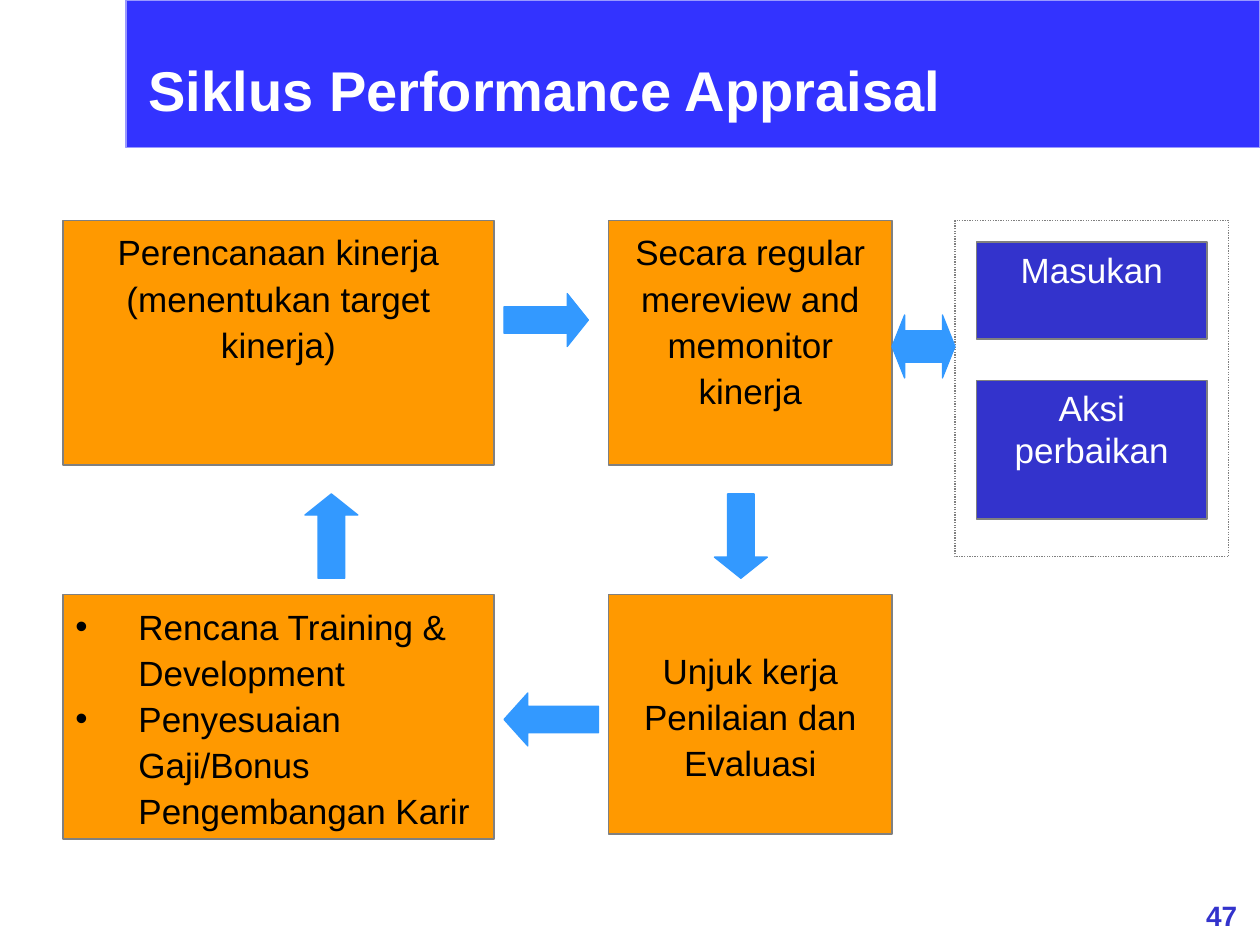
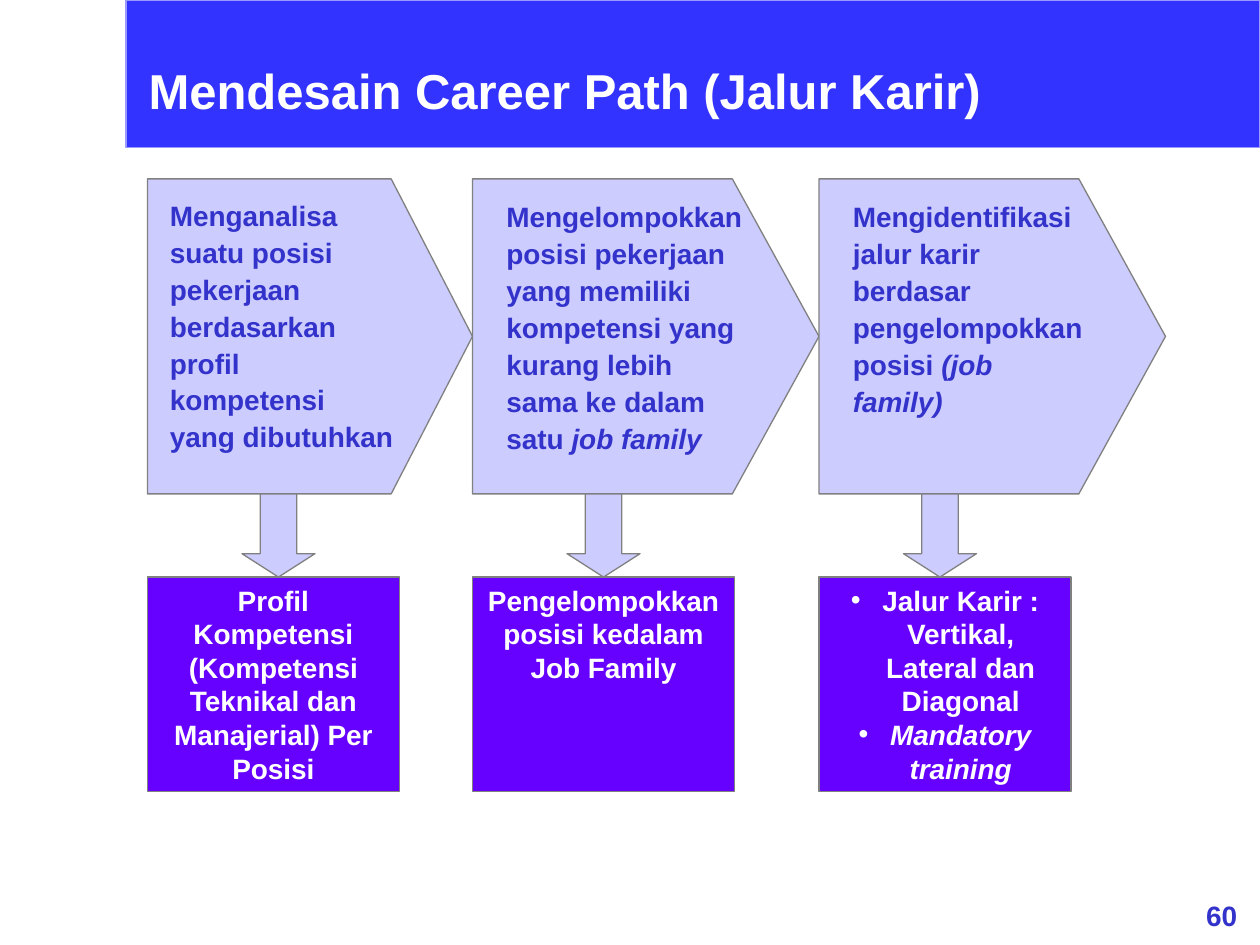
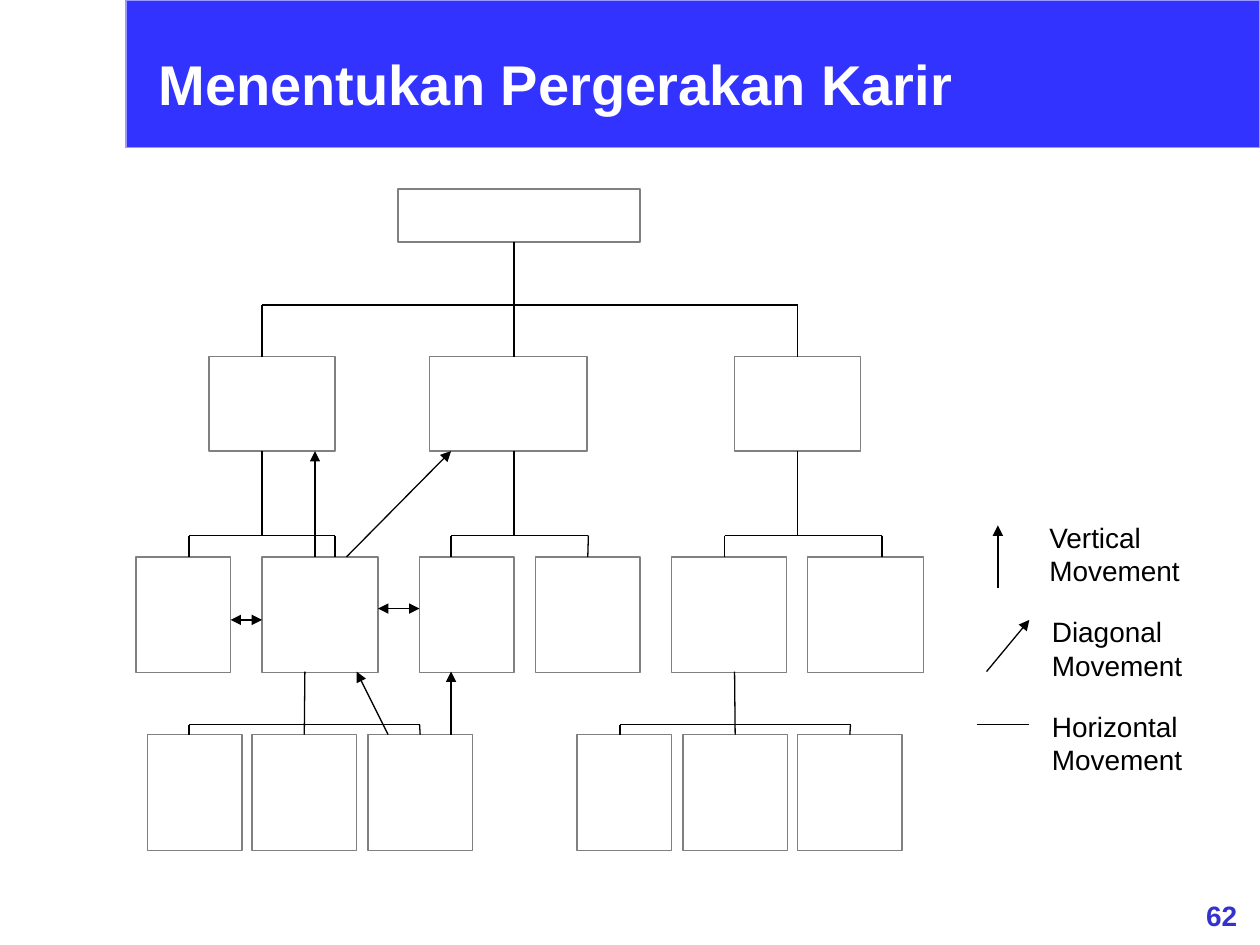
from lxml.etree import SubElement
from pptx import Presentation
from pptx.dml.color import RGBColor
from pptx.enum.dml import MSO_LINE
from pptx.enum.shapes import MSO_CONNECTOR, MSO_SHAPE
from pptx.enum.text import MSO_ANCHOR, MSO_AUTO_SIZE, PP_ALIGN
from pptx.oxml.ns import qn
from pptx.util import Inches, Pt

FONT = "Arial"
WHITE = "FFFFFF"
BLACK = "000000"
GRAY = "808080"
BAND_BLUE = "3333FF"
BAND_EDGE = "9999FF"
DEEP_BLUE = "3333CC"
ARROW_BLUE = "3399FF"
ORANGE = "FF9900"
LAVENDER = "CCCCFF"
VIOLET = "6600FF"
LINE_WIDTH = Pt(0.75)
CONNECT_TOLERANCE = 0.02


def color(hex_string):
    return RGBColor.from_string(hex_string)


def add_bullet(paragraph, indent, bullet_color):
    properties = paragraph._p.get_or_add_pPr()
    properties.set("marL", str(Inches(indent)))
    properties.set("indent", str(-Inches(indent)))
    bullet_fill = SubElement(properties, qn("a:buClr"))
    SubElement(bullet_fill, qn("a:srgbClr"), val=bullet_color)
    SubElement(properties, qn("a:buFont"), typeface=FONT)
    SubElement(properties, qn("a:buChar"), char="•")


def write_text(shape, *paragraphs, size=16, text_color=BLACK, bold=False, align=PP_ALIGN.LEFT,
               anchor=MSO_ANCHOR.TOP, spacing=None, bullet_indent=None):
    """Each paragraph is a string, or a pair of upright and italic text."""
    frame = shape.text_frame
    frame.word_wrap = True
    frame.auto_size = MSO_AUTO_SIZE.NONE
    frame.vertical_anchor = anchor
    for index, content in enumerate(paragraphs):
        paragraph = frame.add_paragraph() if index else frame.paragraphs[0]
        paragraph.alignment = align
        if spacing:
            paragraph.line_spacing = spacing
        if bullet_indent:
            add_bullet(paragraph, bullet_indent, text_color)
        parts = (content, "") if isinstance(content, str) else content
        for text, italic in zip(parts, (False, True)):
            if not text:
                continue
            run = paragraph.add_run()
            run.text = text
            run.font.name = FONT
            run.font.size = Pt(size)
            run.font.bold = bold
            run.font.italic = italic
            run.font.color.rgb = color(text_color)


def style_shape(shape, fill, line):
    shape.shadow.inherit = False
    if fill:
        shape.fill.solid()
        shape.fill.fore_color.rgb = color(fill)
    else:
        shape.fill.background()
    shape.line.color.rgb = color(line)
    shape.line.width = LINE_WIDTH


def add_box(slide, left, top, width, height, fill=WHITE, line=GRAY):
    box = slide.shapes.add_shape(MSO_SHAPE.RECTANGLE, Inches(left), Inches(top),
                                 Inches(width), Inches(height))
    style_shape(box, fill, line)
    return box


def add_arrow(slide, kind, left, top, width, height, head=0.4, fill=ARROW_BLUE, line=ARROW_BLUE):
    arrow = slide.shapes.add_shape(kind, Inches(left), Inches(top), Inches(width), Inches(height))
    arrow.adjustments[0] = 0.5
    arrow.adjustments[1] = head
    style_shape(arrow, fill, line)


def add_label(slide, left, top, width, height, *paragraphs, **text_format):
    label = slide.shapes.add_textbox(Inches(left), Inches(top), Inches(width), Inches(height))
    write_text(label, *paragraphs, **text_format)


def add_pentagon(slide, left, top, width, height):
    shoulder = left + 0.75 * width
    bottom = top + height
    corners = [(shoulder, top), (left + width, top + height / 2), (shoulder, bottom), (left, bottom)]
    builder = slide.shapes.build_freeform(Inches(left), Inches(top))
    builder.add_line_segments([(Inches(x), Inches(y)) for x, y in corners], close=True)
    style_shape(builder.convert_to_shape(), LAVENDER, GRAY)


def find_site(boxes, x, y):
    for box in boxes:
        center = box.left + box.width / 2
        middle = box.top + box.height / 2
        sites = [(center, box.top), (box.left, middle),
                 (center, box.top + box.height), (box.left + box.width, middle)]
        for index, (site_x, site_y) in enumerate(sites):
            if max(abs(site_x - Inches(x)), abs(site_y - Inches(y))) < Inches(CONNECT_TOLERANCE):
                return box, index
    return None


def add_line(slide, start, end, boxes=(), arrow_ends=()):
    line = slide.shapes.add_connector(MSO_CONNECTOR.STRAIGHT, *map(Inches, start + end))
    line.line.color.rgb = color(BLACK)
    line.line.width = LINE_WIDTH
    outline = line.line._get_or_add_ln()
    for arrow_end in arrow_ends:
        SubElement(outline, qn(f"a:{arrow_end}"), type="triangle")
    SubElement(line._element.spPr, qn("a:effectLst"))
    for point, connect in ((start, line.begin_connect), (end, line.end_connect)):
        site = find_site(boxes, *point)
        if site:
            connect(*site)


def add_branch(slide, boxes, stem, parent_bottom, bus, child_top, children):
    stem_end = child_top if stem in children else bus
    add_line(slide, (stem, parent_bottom), (stem, stem_end), boxes)
    add_line(slide, (children[0], bus), (children[-1], bus))
    for child in children:
        if child != stem:
            add_line(slide, (child, bus), (child, child_top), boxes)


def add_framed_slide(presentation, title_text, page, title_size=32, title_left=1.08, title_top=0.25):
    slide = presentation.slides.add_slide(presentation.slide_layouts[5])
    band = add_box(slide, 1, 0, 9, 1.17, BAND_BLUE, BAND_EDGE)
    title = slide.shapes.title
    band._element.addnext(title._element)
    title.left, title.top = Inches(title_left), Inches(title_top)
    title.width, title.height = Inches(8.25), Inches(0.92)
    write_text(title, title_text, size=title_size, text_color=WHITE, bold=True,
               anchor=MSO_ANCHOR.MIDDLE)
    add_label(slide, 9.39, 7.08, 0.61, 0.37, page, text_color=DEEP_BLUE, bold=True,
              align=PP_ALIGN.CENTER)
    return slide


def build_appraisal_cycle(presentation):
    slide = add_framed_slide(presentation, "Siklus Performance Appraisal", "47")
    action_frame = add_box(slide, 7.58, 1.75, 2.17, 2.67, fill=None)
    action_frame.line.dash_style = MSO_LINE.ROUND_DOT

    centered = {"align": PP_ALIGN.CENTER}
    steps = [
        ((0.5, 1.75, 3.42, 1.94), ["Perencanaan kinerja", "(menentukan target kinerja)"], centered),
        ((4.83, 1.75, 2.25, 1.94), ["Secara regular mereview and memonitor kinerja"], centered),
        ((4.83, 4.72, 2.25, 1.9), ["Unjuk kerja Penilaian dan Evaluasi"],
         {"align": PP_ALIGN.CENTER, "anchor": MSO_ANCHOR.MIDDLE}),
        ((0.5, 4.72, 3.42, 1.94),
         ["Rencana Training & Development", "Penyesuaian Gaji/Bonus Pengembangan Karir"],
         {"bullet_indent": 0.5}),
    ]
    for position, paragraphs, text_format in steps:
        box = add_box(slide, *position, fill=ORANGE)
        write_text(box, *paragraphs, size=20, spacing=1.1, **text_format)

    for top, height, text in [(1.92, 0.77, "Masukan"), (3.02, 1.1, "Aksi perbaikan")]:
        box = add_box(slide, 7.75, top, 1.83, height, fill=DEEP_BLUE)
        write_text(box, text, size=20, text_color=WHITE, align=PP_ALIGN.CENTER)

    add_arrow(slide, MSO_SHAPE.RIGHT_ARROW, 4, 2.33, 0.67, 0.42)
    add_arrow(slide, MSO_SHAPE.DOWN_ARROW, 5.67, 3.92, 0.42, 0.67)
    add_arrow(slide, MSO_SHAPE.LEFT_ARROW, 4, 5.5, 0.75, 0.42, head=0.45)
    add_arrow(slide, MSO_SHAPE.UP_ARROW, 2.42, 3.92, 0.42, 0.67)
    add_arrow(slide, MSO_SHAPE.LEFT_RIGHT_ARROW, 7.08, 2.5, 0.5, 0.5, head=0.2)


def build_career_path(presentation):
    slide = add_framed_slide(presentation, "Mendesain Career Path (Jalur Karir)", "60", title_size=28)
    stages = [
        {"left": 1.17, "width": 2.58, "arrow_left": 1.92, "label": (1.25, 1.5, 2), "result_width": 2,
         "step": "Menganalisa suatu posisi pekerjaan berdasarkan profil kompetensi yang dibutuhkan",
         "results": ["Profil Kompetensi (Kompetensi Teknikal dan Manajerial) Per Posisi"]},
        {"left": 3.75, "width": 2.75, "arrow_left": 4.5, "label": (3.92, 1.51, 2.08),
         "result_width": 2.08,
         "step": ("Mengelompokkan posisi pekerjaan yang memiliki kompetensi yang kurang lebih "
                  "sama ke dalam satu ", "job family"),
         "results": ["Pengelompokkan posisi kedalam Job Family"]},
        {"left": 6.5, "width": 2.75, "arrow_left": 7.17, "label": (6.67, 1.51, 2.08),
         "result_width": 2, "bullet_indent": 0.25,
         "step": ("Mengidentifikasi jalur karir berdasar pengelompokkan posisi ", "(job family)"),
         "results": ["Jalur Karir : Vertikal, Lateral dan Diagonal", ("", "Mandatory training")]},
    ]
    for stage in stages:
        add_arrow(slide, MSO_SHAPE.DOWN_ARROW, stage["arrow_left"], 3.83, 0.58, 0.75,
                  head=0.32, fill=LAVENDER, line=GRAY)
        add_pentagon(slide, stage["left"], 1.42, stage["width"], 2.5)
        add_label(slide, *stage["label"], 2.4, stage["step"], text_color=DEEP_BLUE, bold=True,
                  spacing=1.1)
        result = add_box(slide, stage["left"], 4.58, stage["result_width"], 1.7, fill=VIOLET)
        write_text(result, *stage["results"], text_color=WHITE, bold=True, align=PP_ALIGN.CENTER,
                   bullet_indent=stage.get("bullet_indent"))


def build_career_movement(presentation):
    slide = add_framed_slide(presentation, "Menentukan Pergerakan Karir", "62",
                             title_left=1.16, title_top=0.2)
    levels = [
        (1.5, 0.42, [(3.16, 1.92)]),
        (2.83, 0.75, [(1.66, 1), (3.41, 1.25), (5.83, 1)]),
        (4.42, 0.92, [(1.08, 0.75), (2.08, 0.92), (3.33, 0.75), (4.25, 0.83), (5.33, 0.91),
                      (6.41, 0.92)]),
        (5.83, 0.92, [(1.17, 0.75), (2, 0.83), (2.92, 0.83), (4.58, 0.75), (5.42, 0.83),
                      (6.33, 0.83)]),
    ]
    boxes = [add_box(slide, left, top, width, height)
             for top, height, positions in levels for left, width in positions]

    branches = [
        (4.08, 1.92, 2.42, 2.83, [2.08, 4.08, 6.33]),
        (2.08, 3.58, 4.25, 4.42, [1.5, 2.66]),
        (4.08, 3.58, 4.25, 4.42, [3.58, 4.67]),
        (6.33, 3.58, 4.25, 4.42, [5.75, 7]),
        (2.42, 5.33, 5.75, 5.83, [1.5, 2.42, 3.33]),
        (5.83, 5.33, 5.75, 5.83, [4.92, 5.83, 6.75]),
    ]
    for branch in branches:
        add_branch(slide, boxes, *branch)

    one_way = ["tailEnd"]
    two_way = ["headEnd", "tailEnd"]
    movements = [
        ((2.75, 4.42), (3.58, 3.58), one_way),
        ((3.08, 5.83), (2.83, 5.33), one_way),
        ((3.58, 5.83), (3.58, 5.33), one_way),
        ((2.5, 4.42), (2.5, 3.58), one_way),
        ((3, 4.83), (3.33, 4.83), two_way),
        ((1.83, 4.92), (2.08, 4.92), two_way),
    ]
    legend_lines = [
        ((7.92, 4.67), (7.92, 4.17), one_way),
        ((7.83, 5.33), (8.17, 4.92), one_way),
        ((7.75, 5.75), (8.17, 5.75), []),
    ]
    for start, end, arrow_ends in movements + legend_lines:
        add_line(slide, start, end, arrow_ends=arrow_ends)

    add_label(slide, 8.23, 4.08, 1.35, 0.64, "Vertical Movement")
    for top, direction in [(4.83, "Diagonal"), (5.58, "Horizontal")]:
        add_label(slide, 8.25, top, 1.35, 0.64, direction, "Movement")


def main():
    presentation = Presentation()
    presentation.slide_width = Inches(10)
    presentation.slide_height = Inches(7.5)
    build_appraisal_cycle(presentation)
    build_career_path(presentation)
    build_career_movement(presentation)
    presentation.save("out.pptx")


if __name__ == "__main__":
    main()
